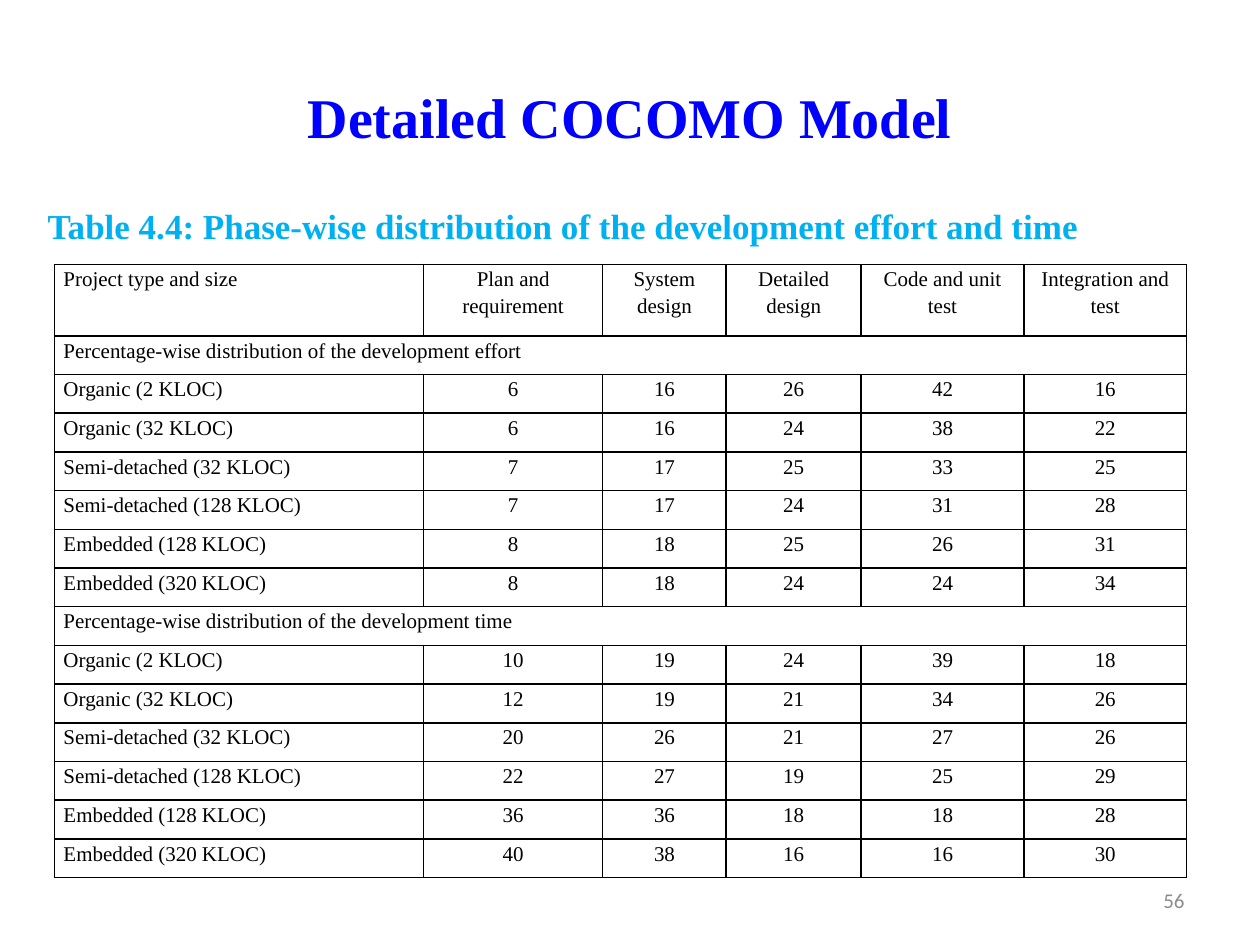
from dataclasses import dataclass

from lxml.etree import SubElement
from pptx import Presentation
from pptx.dml.color import RGBColor
from pptx.enum.text import MSO_ANCHOR as Anchor, PP_ALIGN as Align
from pptx.oxml.ns import qn
from pptx.util import Cm, Pt

BLUE = RGBColor(0x00, 0x00, 0xFF)
SKY = RGBColor(0x00, 0xB0, 0xF0)
BLACK = RGBColor(0x00, 0x00, 0x00)
GREY = RGBColor(0x8C, 0x8C, 0x8C)
SERIF = "Times New Roman"


@dataclass
class Style:
    size: float
    color: RGBColor
    font: str = SERIF
    bold: bool = False


@dataclass
class Section:
    heading: str
    rows: list[tuple[int, ...]]


TITLE = Style(32, BLUE, bold=True)
CAPTION = Style(20, SKY, bold=True)
BODY = Style(12, BLACK)
NUMBER = Style(12, GREY, "Calibri")

# Table content
HEADERS = ["Project type and size", "Plan and requirement", "System design",
           "Detailed design", "Code and unit test", "Integration and test"]
PROJECTS = ["Organic (2 KLOC)", "Organic (32 KLOC)",
            "Semi-detached (32 KLOC)", "Semi-detached (128 KLOC)",
            "Embedded (128 KLOC)", "Embedded (320 KLOC)"]
SECTIONS = [
    Section("Percentage-wise distribution of the development effort", [
        (6, 16, 26, 42, 16), (6, 16, 24, 38, 22), (7, 17, 25, 33, 25),
        (7, 17, 24, 31, 28), (8, 18, 25, 26, 31), (8, 18, 24, 24, 34)]),
    Section("Percentage-wise distribution of the development time", [
        (10, 19, 24, 39, 18), (12, 19, 21, 34, 26), (20, 26, 21, 27, 26),
        (22, 27, 19, 25, 29), (36, 36, 18, 18, 28), (40, 38, 16, 16, 30)]),
]
COL_WIDTHS = [7.44, 3.61, 2.49, 2.72, 3.28, 3.28]
HEADER_HEIGHT, ROW_HEIGHT = 1.44, 0.78


def write(tf, text: str, style: Style, align: Align):
    p = tf.paragraphs[0]
    p.alignment = align
    r = p.add_run()
    r.text = text
    r.font.size, r.font.name, r.font.bold = Pt(style.size), style.font, style.bold
    r.font.color.rgb = style.color
    return p


def add_text(slide, box: tuple[float, ...], text: str, style: Style, align: Align) -> None:
    tf = slide.shapes.add_textbox(*map(Cm, box)).text_frame
    tf.word_wrap = True
    tf.vertical_anchor = Anchor.MIDDLE
    write(tf, text, style, align)


def add_borders(cell) -> None:
    props = cell._tc.get_or_add_tcPr()
    for i, side in enumerate(("lnL", "lnR", "lnT", "lnB")):
        ln = props.makeelement(qn(f"a:{side}"), {"w": str(Pt(1))})
        fill = SubElement(ln, qn("a:solidFill"))
        SubElement(fill, qn("a:srgbClr"), val=str(BLACK))
        props.insert(i, ln)  # borders come before the cell fill


def fill_cell(cell, text: str, align: Align, after: float = 0) -> None:
    cell.margin_left = cell.margin_right = Cm(0.18)
    cell.margin_top = cell.margin_bottom = 0
    p = write(cell.text_frame, text, BODY, align)
    p.line_spacing = 1.15
    p.space_after = Pt(after)


def add_phase_table(slide, left: float, top: float) -> None:
    n_rows = 1 + sum(1 + len(s.rows) for s in SECTIONS)
    heights = [HEADER_HEIGHT] + [ROW_HEIGHT] * (n_rows - 1)
    table = slide.shapes.add_table(
        n_rows, len(HEADERS), Cm(left), Cm(top),
        Cm(sum(COL_WIDTHS)), Cm(sum(heights))).table
    table.first_row = table.horz_banding = False
    for col, width in zip(table.columns, COL_WIDTHS):
        col.width = Cm(width)
    for row, height in zip(table.rows, heights):
        row.height = Cm(height)
    for cell in table.iter_cells():
        cell.fill.background()
        add_borders(cell)

    # Header row
    for c, text in enumerate(HEADERS):
        fill_cell(table.cell(0, c), text, Align.CENTER if c else Align.LEFT)

    # Each section: a merged heading, then one row per project
    r = 1
    for section in SECTIONS:
        table.cell(r, 0).merge(table.cell(r, len(HEADERS) - 1))
        fill_cell(table.cell(r, 0), section.heading, Align.LEFT)
        for r, (project, values) in enumerate(zip(PROJECTS, section.rows), r + 1):
            fill_cell(table.cell(r, 0), project, Align.JUSTIFY, after=10)
            for c, value in enumerate(values, 1):
                fill_cell(table.cell(r, c), str(value), Align.CENTER)
        r += 1


def main() -> None:
    prs = Presentation()
    prs.slide_width, prs.slide_height = Cm(25.4), Cm(19.05)
    slide = prs.slides.add_slide(prs.slide_layouts[5])

    # Title
    title = slide.shapes.title
    title.left, title.top, title.width, title.height = map(Cm, (1.27, 0.76, 22.86, 3.18))
    title.text_frame.vertical_anchor = Anchor.MIDDLE
    write(title.text_frame, "Detailed COCOMO Model", TITLE, Align.CENTER)

    # Caption, table and page number
    add_text(slide, (0.71, 3.99, 21.79, 1.12),
             "Table 4.4: Phase-wise distribution of the development effort and time",
             CAPTION, Align.LEFT)
    add_phase_table(slide, 1.1, 5.33)
    add_text(slide, (18.2, 17.65, 5.93, 1.01), "56", NUMBER, Align.RIGHT)

    prs.save("out.pptx")


if __name__ == "__main__":
    main()
